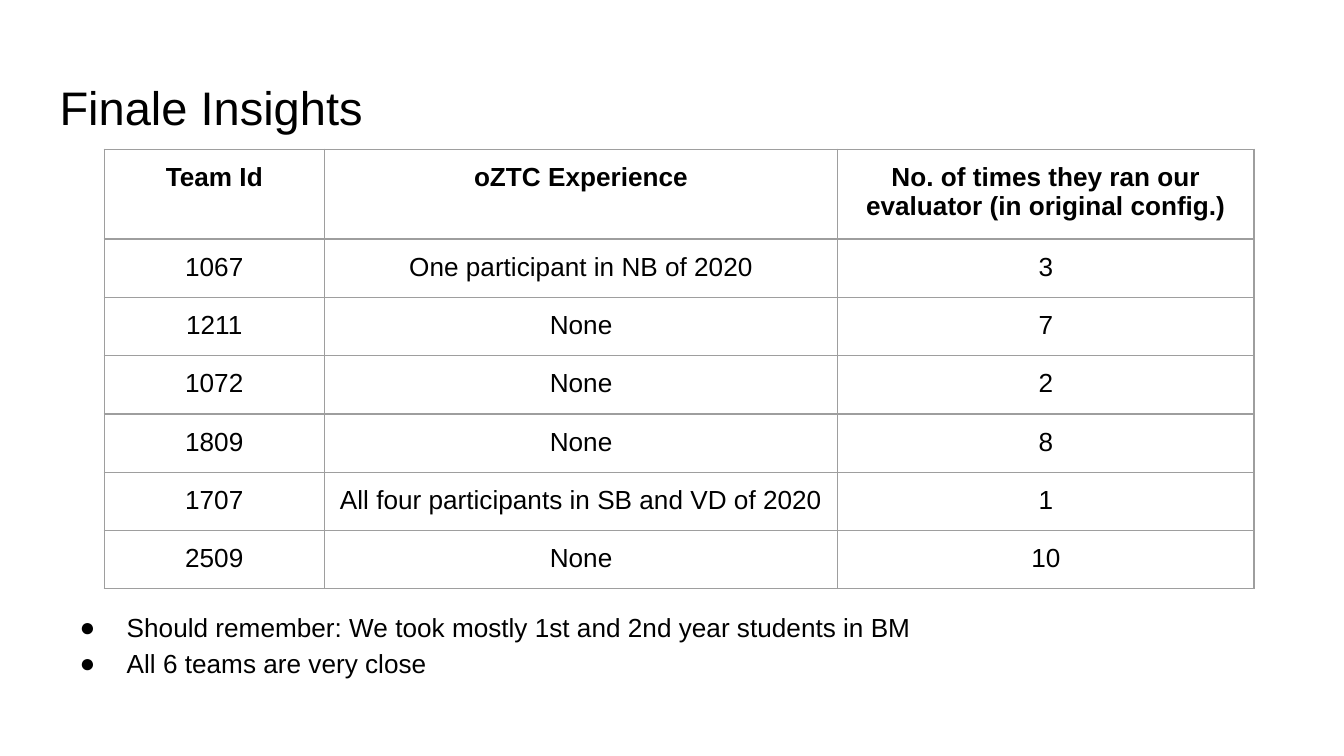
from lxml import etree
from pptx import Presentation
from pptx.dml.color import RGBColor
from pptx.enum import text as t
from pptx.oxml import ns
from pptx.util import Pt

INK, RULE = "000000", "9E9E9E"
PAD = Pt(7.2)
HEAD = ["Team Id", "oZTC Experience",
        "No. of times they ran our evaluator (in original config.)"]
TEAMS = [
    ("1067", "One participant in NB of 2020", "3"),
    ("1211", "None", "7"),
    ("1072", "None", "2"),
    ("1809", "None", "8"),
    ("1707", "All four participants in SB and VD of 2020", "1"),
    ("2509", "None", "10"),
]
NOTES = ["Should remember: We took mostly 1st and 2nd year students in BM",
         "All 6 teams are very close"]


def color(code):
    return RGBColor.from_string(code)


def put(obj, **vals):
    for key, val in vals.items():
        setattr(obj, key, val)


def pad(obj):
    put(obj, **{f"margin_{side}": PAD
                for side in ("left", "top", "right", "bottom")})


def write(para, words, size, bold=False):
    run = para.add_run()
    run.text = words
    put(run.font, name="Arial", size=Pt(size), bold=bold)
    run.font.color.rgb = color(INK)


def add(parent, tag, **attrs):
    return etree.SubElement(parent, ns.qn(tag), **attrs)


def frame(slide, box, anchor):
    body = slide.shapes.add_textbox(*map(Pt, box)).text_frame
    put(body, word_wrap=True, vertical_anchor=anchor)
    pad(body)
    return body


def title(slide, box):
    body = frame(slide, box, t.MSO_ANCHOR.BOTTOM)
    write(body.paragraphs[0], "Finale Insights", 25.2)


def bullet(para):
    props = para._p.get_or_add_pPr()
    for key, val in {"marL": Pt(36), "indent": -Pt(25.2)}.items():
        props.set(key, str(int(val)))
    add(add(props, "a:buClr"), "a:srgbClr", val=INK)
    add(props, "a:buFont", typeface="Arial")
    add(props, "a:buChar", char="●")


def notes(slide, box):
    body = frame(slide, box, t.MSO_ANCHOR.TOP)
    for i, words in enumerate(NOTES):
        para = body.add_paragraph() if i else body.paragraphs[0]
        para.line_spacing = 1.15
        bullet(para)
        write(para, words, 14)


def border(cell):
    props = cell._tc.get_or_add_tcPr()
    for side in ("a:lnL", "a:lnR", "a:lnT", "a:lnB"):
        line = add(props, side, w=str(int(Pt(0.75))))
        add(add(line, "a:solidFill"), "a:srgbClr", val=RULE)


def teams(slide, box):
    """Draw the team table; the header row grows to fit its two lines."""
    left, top, width, height = box
    rows = [HEAD, *TEAMS]
    grid = slide.shapes.add_table(len(rows), len(HEAD), *map(Pt, box)).table
    put(grid, first_row=False, horz_banding=False)
    wide = [118, 275]
    for col, size in zip(grid.columns, [*wide, width - sum(wide)]):
        col.width = Pt(size)
    for r, row in enumerate(rows):
        grid.rows[r].height = Pt(height / len(rows))
        for c, words in enumerate(row):
            cell = grid.cell(r, c)
            pad(cell)
            border(cell)
            cell.fill.background()
            para = cell.text_frame.paragraphs[0]
            para.alignment = t.PP_ALIGN.CENTER
            write(para, words, 14, bold=r == 0)


def main():
    deck = Presentation()
    put(deck, slide_width=Pt(720), slide_height=Pt(405))
    slide = deck.slides.add_slide(deck.slide_layouts[6])
    title(slide, (24.8, 34, 671, 45.4))
    notes(slide, (24.8, 317.8, 671, 70))
    teams(slide, (55.8, 80, 616, 218.4))
    deck.save("out.pptx")


if __name__ == "__main__":
    main()
